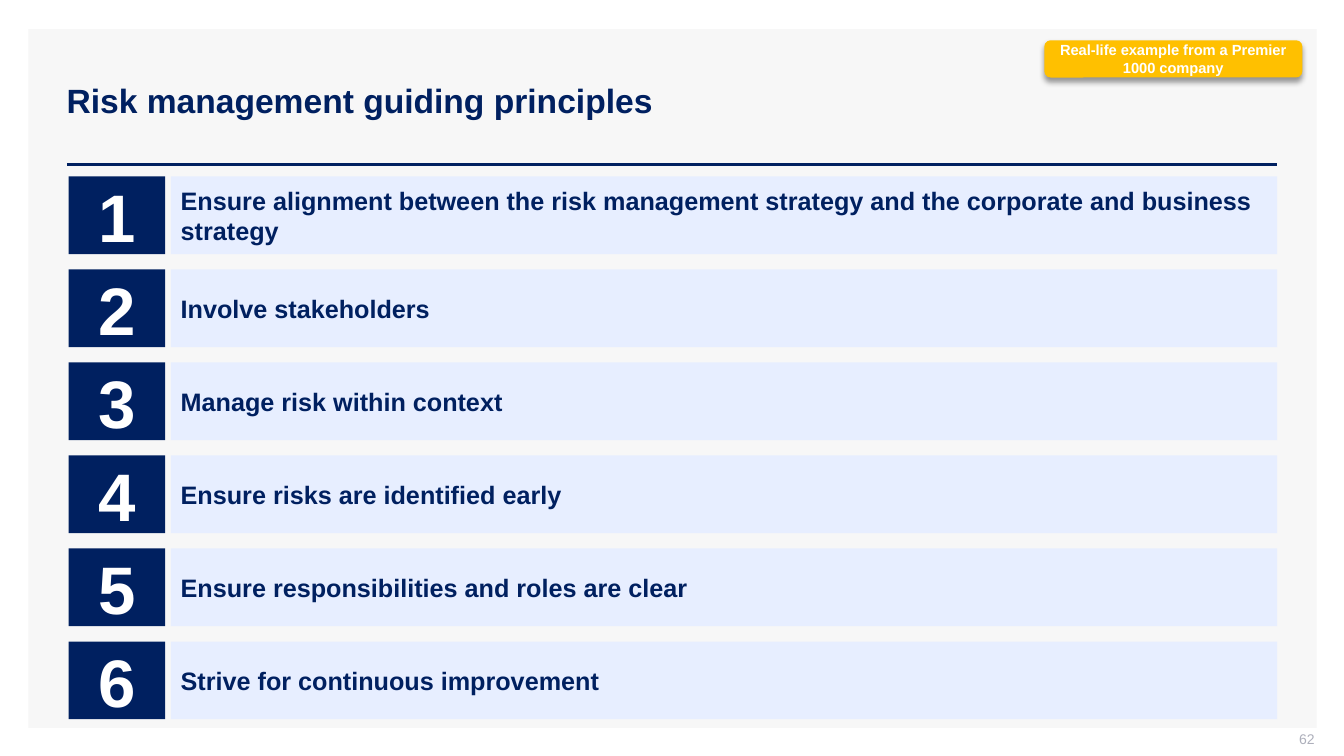
"""Build the slide on risk management guiding principles."""
from lxml import etree
from pptx import Presentation
from pptx.dml.color import RGBColor
from pptx.enum import shapes, text
from pptx.oxml import ns
from pptx.util import Pt

COLORS = {
    "navy": "002060",
    "pale": "E7EEFF",
    "panel": "F7F7F7",
    "amber": "FFC000",
    "white": "FFFFFF",
    "grey": "ADAFBB",
    "black": "000000",
}
FONT = "Arial"
PRINCIPLES = [
    "Ensure alignment between the risk management strategy and the corporate and business strategy",
    "Involve stakeholders",
    "Manage risk within context",
    "Ensure risks are identified early",
    "Ensure responsibilities and roles are clear",
    "Strive for continuous improvement",
]
ROW_TOP, ROW_PITCH, ROW_HEIGHT = 126, 66.45, 55.5
NUMBER_LEFT, NUMBER_WIDTH = 49, 69
BAR_LEFT, BAR_WIDTH = 122, 790.3


def rgb(name):
    return RGBColor.from_string(COLORS[name])


def write(sp, content, size, color="navy", bold=True, align="LEFT", insets=(7.2, 3.6, 7.2, 3.6)):
    tf = sp.text_frame
    tf.word_wrap = True
    tf.auto_size = text.MSO_AUTO_SIZE.NONE
    tf.vertical_anchor = text.MSO_ANCHOR.MIDDLE
    tf.margin_left, tf.margin_top, tf.margin_right, tf.margin_bottom = map(Pt, insets)
    p = tf.paragraphs[0]
    p.alignment = getattr(text.PP_ALIGN, align)
    r = p.add_run()
    r.text = content
    r.font.name = FONT
    r.font.size = Pt(size)
    r.font.bold = bold
    r.font.color.rgb = rgb(color)


def add_box(s, left, top, width, height, fill, kind="RECTANGLE"):
    sp = s.shapes.add_shape(getattr(shapes.MSO_SHAPE, kind), *map(Pt, (left, top, width, height)))
    sp.shadow.inherit = False
    sp.fill.solid()
    sp.fill.fore_color.rgb = rgb(fill)
    sp.line.fill.background()
    return sp


def add_rule(s, left, right, y):
    line = s.shapes.add_connector(shapes.MSO_CONNECTOR.STRAIGHT, Pt(left), Pt(y), Pt(right), Pt(y))
    line.line.color.rgb = rgb("navy")
    line.line.width = Pt(2)
    etree.SubElement(line.element.spPr, ns.qn("a:effectLst"))


def add_shadow(sp, alpha, blur, distance, angle):
    effects = sp.element.spPr.find(ns.qn("a:effectLst"))
    shadow = etree.SubElement(
        effects, ns.qn("a:outerShdw"), blurRad=str(Pt(blur)), dist=str(Pt(distance)),
        dir=str(angle * 60000), algn="t", rotWithShape="0",
    )
    color = etree.SubElement(shadow, ns.qn("a:srgbClr"), val=COLORS["black"])
    etree.SubElement(color, ns.qn("a:alpha"), val=str(alpha * 1000))


def set_title(s, content):
    title = s.shapes.title
    title.left, title.top, title.width, title.height = map(Pt, (40.3, 28.8, 872, 85.7))
    write(title, content, 24)


def add_principle(s, number, content):
    top = ROW_TOP + (number - 1) * ROW_PITCH
    tile = add_box(s, NUMBER_LEFT, top, NUMBER_WIDTH, ROW_HEIGHT, "navy")
    write(tile, str(number), 48, "white", align="CENTER")
    bar = add_box(s, BAR_LEFT, top, BAR_WIDTH, ROW_HEIGHT, "pale")
    write(bar, content, 18)


def add_badge(s, content):
    badge = add_box(s, 746, 28.8, 184.3, 26.6, "amber", "ROUNDED_RECTANGLE")
    add_shadow(badge, alpha=40, blur=4, distance=3, angle=90)
    write(badge, content, 10.5, "white", align="CENTER")


def add_page_number(s, content):
    sp = s.shapes.add_textbox(*map(Pt, (723, 522, 216, 15)))
    write(sp, content, 10, "grey", bold=False, align="RIGHT", insets=(7.2, 0, 0, 3.6))


def main():
    prs = Presentation()
    prs.slide_width, prs.slide_height = Pt(960), Pt(540)
    s = prs.slides.add_slide(prs.slide_layouts.get_by_name("Title Only"))
    panel = add_box(s, 20.2, 20.9, 920.2, 499, "panel")
    s.shapes.title.element.addprevious(panel.element)
    set_title(s, "Risk management guiding principles")
    add_rule(s, 47.8, 912.3, 117.4)
    add_page_number(s, "62")
    for number, principle in enumerate(PRINCIPLES, 1):
        add_principle(s, number, principle)
    add_badge(s, "Real-life example from a Premier 1000 company")
    prs.save("out.pptx")


if __name__ == "__main__":
    main()
